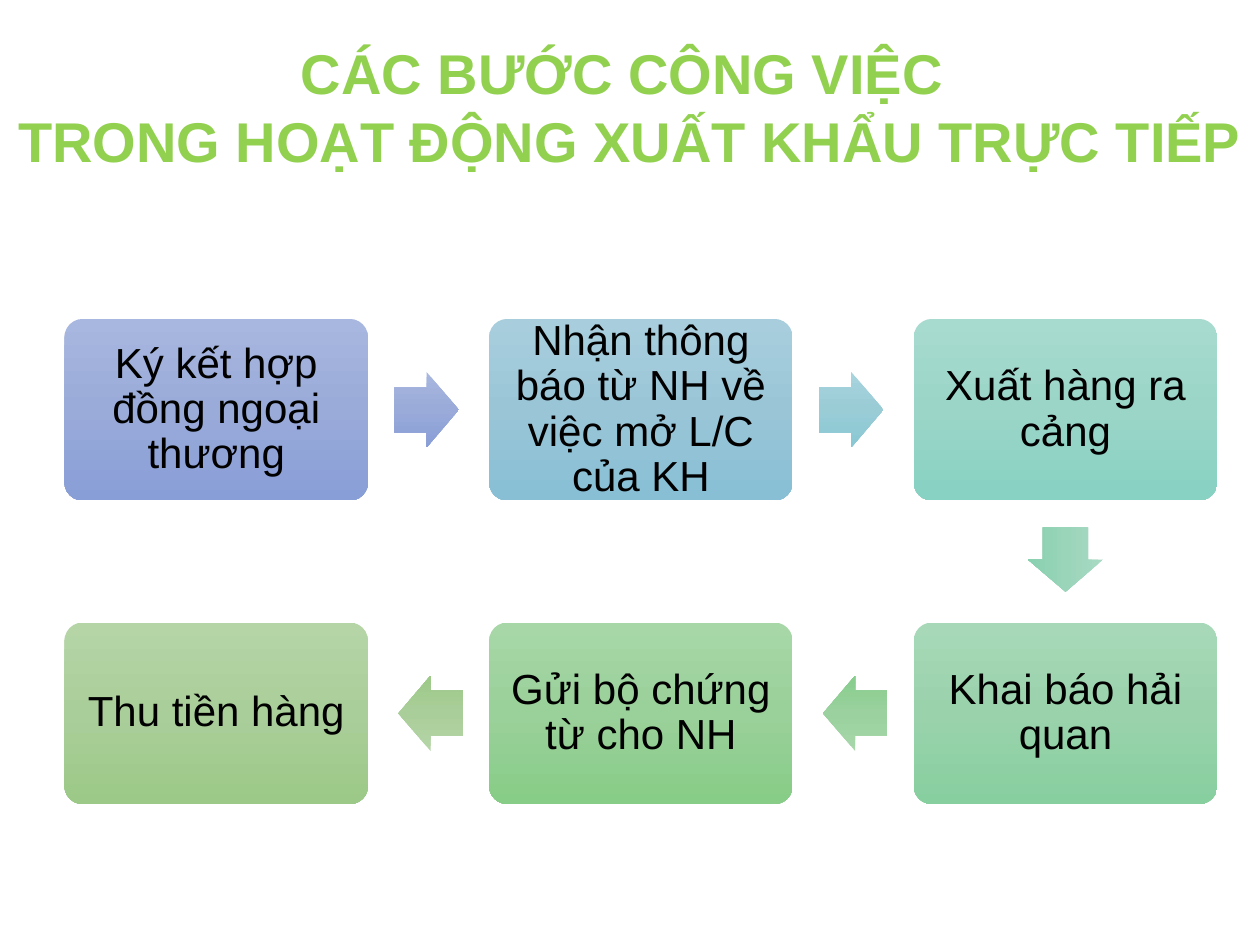
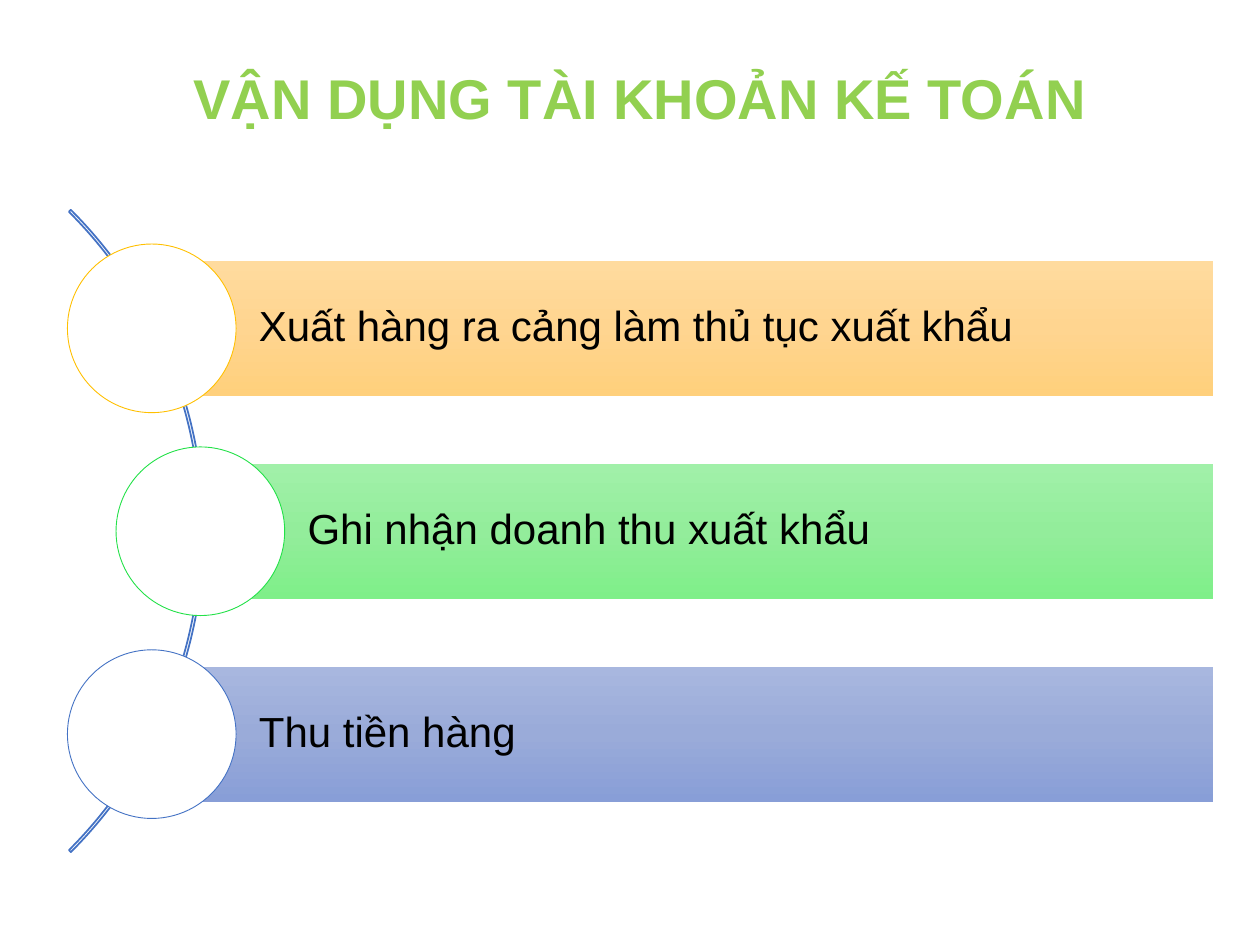
from copy import deepcopy
from pptx import Presentation
from pptx.dml.color import RGBColor
from pptx.enum.shapes import MSO_SHAPE as Shape
from pptx.enum.text import MSO_ANCHOR as Anchor, PP_ALIGN as Align
from pptx.oxml.ns import qn
from pptx.util import Cm, Pt

COLOURS = {"title": "92D050", "text": "000000", "white": "FFFFFF",
           "blue": "4472C4", "gold": "FFC000", "green": "23E148"}
GRADIENTS = {
    "indigo": ("A8B7DF", "9AABD9", "889ED7"),
    "sky": ("A8CEDD", "9AC5D7", "88BFD5"),
    "cyan": ("A8D4DD", "9ACCD6", "88C8D4"),
    "teal": ("A8DBD0", "9AD5C8", "87D2C2"),
    "jade": ("A8DAC3", "9AD4B9", "87D1AF"),
    "mint": ("A7D9B8", "9AD2AC", "87CF9F"),
    "leaf": ("A7D7AB", "9AD19E", "87CD8C"),
    "grass": ("A7D7A7", "9AD09A", "87CC87"),
    "olive": ("B5D5A7", "AACE9A", "9CC987"),
    "orange": ("FFDB9E", "FFD590", "FFD07C"),
    "lime": ("A1F0A9", "93ED9B", "7FEF89"),
}
FONT = "Arial"

STEPS_TITLE = ["CÁC BƯỚC CÔNG VIỆC ", "TRONG HOẠT ĐỘNG XUẤT KHẨU TRỰC TIẾP"]
STEPS = [
    ("Ký kết hợp đồng ngoại thương", (0, 0), "indigo", "indigo"),
    ("Nhận thông báo từ NH về việc mở L/C của KH", (1, 0), "sky", "cyan"),
    ("Xuất hàng ra cảng", (2, 0), "teal", "jade"),
    ("Khai báo hải quan", (2, 1), "mint", "leaf"),
    ("Gửi bộ chứng từ cho NH", (1, 1), "grass", "olive"),
    ("Thu tiền hàng", (0, 1), "olive", None),
]
ACCOUNTS_TITLE = ["VẬN DỤNG TÀI KHOẢN KẾ TOÁN"]
ACCOUNTS = [
    ("Xuất hàng ra cảng làm thủ tục xuất khẩu", 3.06, "orange", "gold"),
    ("Ghi nhận doanh thu xuất khẩu", 4.04, "lime", "green"),
    ("Thu tiền hàng", 3.06, "indigo", "blue"),
]

STEP_WIDTH, STEP_HEIGHT = 6.12, 3.66
STEP_LEFT, STEP_TOP = 1.3, 6.43
COLUMN_PITCH, ROW_PITCH = 8.56, 6.12
ARROW_LENGTH, ARROW_WIDTH, ARROW_SHIFT = 1.3, 1.52, 0.04
ARROW_TURNS = {(1, 0): 0, (0, 1): 90, (-1, 0): 180}
BAR_RIGHT, BAR_HEIGHT = 24.46, 2.72
BAR_MIDDLE, BAR_PITCH = 6.62, 4.09
CIRCLE = 3.4
ARC_LEFT, ARC_TOP, ARC_SIZE = -14.2, 1.55, 18.31


def rgb(name):
    return RGBColor.from_string(COLOURS[name])


def write(box, lines, size, colour, align, spacing=1.0, bold=False, insets=None):
    frame = box.text_frame
    frame.word_wrap = True
    frame.vertical_anchor = Anchor.MIDDLE
    if insets:
        left, top, right, bottom = map(Cm, insets)
        frame.margin_left, frame.margin_top = left, top
        frame.margin_right, frame.margin_bottom = right, bottom
    for number, line in enumerate(lines):
        para = frame.add_paragraph() if number else frame.paragraphs[0]
        para.alignment = align
        para.line_spacing = spacing
        span = para.add_run()
        span.text = line
        span.font.name = FONT
        span.font.size = Pt(size)
        span.font.bold = bold
        span.font.color.rgb = rgb(colour)


def add_title(page, lines, left, top, width, height, spacing):
    box = page.shapes.add_textbox(Cm(left), Cm(top), Cm(width), Cm(height))
    write(box, lines, 32, "title", Align.CENTER, spacing, bold=True)


def add_figure(page, kind, left, top, width, height, adjustments=()):
    figure = page.shapes.add_shape(kind, Cm(left), Cm(top), Cm(width), Cm(height))
    figure.shadow.inherit = False
    figure.fill.background()
    figure.line.fill.background()
    for index, value in enumerate(adjustments):
        figure.adjustments[index] = value
    return figure


def shade(figure, gradient):
    figure.fill.gradient()
    figure.fill.gradient_angle = 270
    stop_list = figure.element.find(".//" + qn("a:gsLst"))
    stop_list.insert(1, deepcopy(stop_list[0]))
    stops = zip(figure.fill.gradient_stops, (0, 0.5, 1), GRADIENTS[gradient])
    for stop, position, colour in stops:
        stop.position = position
        stop.color.rgb = RGBColor.from_string(colour)


def outline(figure, colour, width):
    figure.line.color.rgb = rgb(colour)
    figure.line.width = Pt(width)


def step_centre(cell):
    column, row = cell
    return (STEP_LEFT + column * COLUMN_PITCH + STEP_WIDTH / 2,
            STEP_TOP + row * ROW_PITCH + STEP_HEIGHT / 2)


def add_arrow(page, start, end, gradient):
    direction = (end[0] - start[0], end[1] - start[1])
    x, y = [(a + b) / 2 - ARROW_SHIFT * way for a, b, way
            in zip(step_centre(start), step_centre(end), direction)]
    arrow = add_figure(page, Shape.RIGHT_ARROW, x - ARROW_LENGTH / 2,
                       y - ARROW_WIDTH / 2, ARROW_LENGTH, ARROW_WIDTH, (0.6, 0.5))
    arrow.rotation = ARROW_TURNS[direction]
    shade(arrow, gradient)


def build_steps(page):
    for number, (label, cell, gradient, arrow_gradient) in enumerate(STEPS):
        x, y = step_centre(cell)
        step = add_figure(page, Shape.ROUNDED_RECTANGLE, x - STEP_WIDTH / 2,
                          y - STEP_HEIGHT / 2, STEP_WIDTH, STEP_HEIGHT, (0.1,))
        shade(step, gradient)
        write(step, [label], 24, "text", Align.CENTER, 0.9, insets=(0.25,) * 4)
        if arrow_gradient:
            add_arrow(page, cell, STEPS[number + 1][1], arrow_gradient)
    add_title(page, STEPS_TITLE, 0, 0.64, 25.4, 3, 1.0)


def build_accounts(page):
    add_title(page, ACCOUNTS_TITLE, 2.11, 0.89, 21.59, 2.29, 0.9)
    arc = add_figure(page, Shape.BLOCK_ARC, ARC_LEFT, ARC_TOP, ARC_SIZE, ARC_SIZE,
                     (189, 27, 0.003))
    outline(arc, "blue", 1)
    for number, (label, x, gradient, ring) in enumerate(ACCOUNTS):
        y = BAR_MIDDLE + number * BAR_PITCH
        bar = add_figure(page, Shape.RECTANGLE, x, y - BAR_HEIGHT / 2,
                         BAR_RIGHT - x, BAR_HEIGHT)
        shade(bar, gradient)
        write(bar, [label], 24, "text", Align.JUSTIFY, 0.9,
              insets=(2.16, 0.18, 0.18, 0.18))
        circle = add_figure(page, Shape.OVAL, x - CIRCLE / 2, y - CIRCLE / 2,
                            CIRCLE, CIRCLE)
        circle.fill.solid()
        circle.fill.fore_color.rgb = rgb("white")
        outline(circle, ring, 0.5)


def main():
    deck = Presentation()
    deck.slide_width, deck.slide_height = Cm(25.4), Cm(19.05)
    for build in (build_steps, build_accounts):
        build(deck.slides.add_slide(deck.slide_layouts[6]))
    deck.save("out.pptx")


if __name__ == "__main__":
    main()
